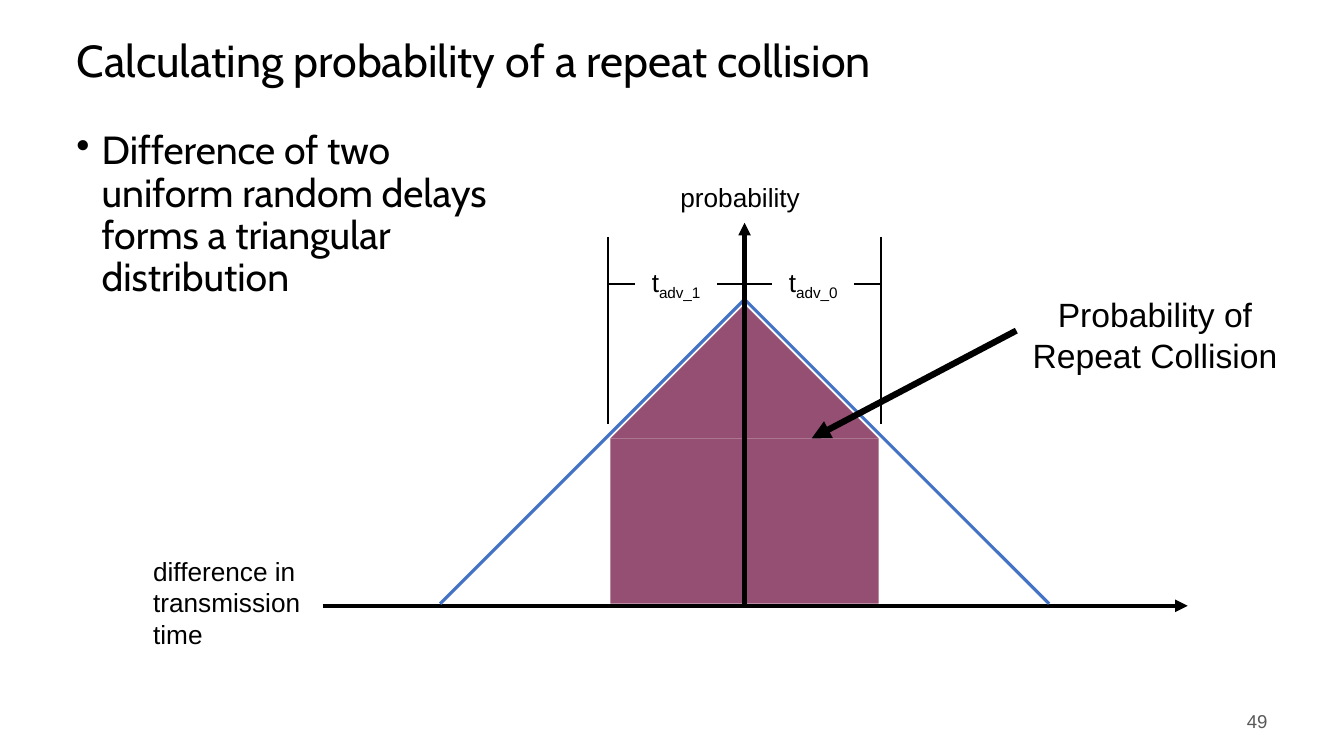
from pptx import Presentation
from pptx.dml.color import RGBColor as RGB
from pptx.enum.shapes import MSO_CONNECTOR as Link, MSO_SHAPE as Shape
from pptx.enum.text import MSO_ANCHOR as Anchor, PP_ALIGN as Align
from pptx.oxml.ns import qn
from pptx.util import Inches, Pt
from lxml.etree import SubElement as Sub

BLACK = RGB(0, 0, 0)
GRAY = RGB(0x59, 0x59, 0x59)
BLUE = RGB(0x44, 0x72, 0xC4)
PLUM = RGB(0x95, 0x4F, 0x72)
MID = 7.385
BASE = 6.01
HALF = 1.33


def style(para, size, face="Arial", color=BLACK, align=Align.LEFT):
    para.alignment = align
    font = para.font
    font.size, font.name, font.color.rgb = Pt(size), face, color


def place(shape, box):
    shape.left, shape.top, shape.width, shape.height = map(Inches, box)


def label(slide, box, text, size, sub="", **look):
    shape = slide.shapes.add_textbox(*map(Inches, box))
    frame = shape.text_frame
    frame.word_wrap = True
    para = frame.paragraphs[0]
    para.add_run().text = text
    if sub:
        run = para.add_run()
        run.text = sub
        run._r.get_or_add_rPr().set("baseline", "-25000")
    style(para, size, **look)
    return frame


def line(slide, start, end, width, color=BLACK, arrow=False):
    link = slide.shapes.add_connector(
        Link.STRAIGHT, *map(Inches, (*start, *end)))
    link.line.width = Pt(width)
    link.line.color.rgb = color
    if arrow:
        Sub(link.line._get_or_add_ln(), qn("a:tailEnd"), type="triangle")
    Sub(link._element.spPr, qn("a:effectLst"))


def title(slide, text):
    shape = slide.shapes.title
    place(shape, (0.66, 0.25, 12, 0.75))
    frame = shape.text_frame
    frame.text = text
    frame.vertical_anchor = Anchor.MIDDLE
    para = frame.paragraphs[0]
    para.line_spacing = 0.9
    style(para, 32, "Cabin")


def bullet(slide, text):
    frame = label(slide, (0.66, 1.25, 4.65, 5.5), text, 28, face="Cabin")
    para = frame.paragraphs[0]
    para.line_spacing = 0.9
    props = para._p.get_or_add_pPr()
    props.set("marL", str(Inches(0.25)))
    props.set("indent", str(Inches(-0.25)))
    mark = props.makeelement(qn("a:buChar"), {"char": "•"})
    props.insert_element_before(mark, "a:tabLst", "a:defRPr", "a:extLst")


def area(slide, side):
    left = MID if side > 0 else MID - HALF
    group = slide.shapes.add_group_shape()
    for kind, top, height in ((Shape.RIGHT_TRIANGLE, 3.02, HALF),
                              (Shape.RECTANGLE, 4.35, 1.64)):
        part = group.shapes.add_shape(
            kind, *map(Inches, (left, top, HALF, height)))
        part.shadow.inherit = False
        part.fill.solid()
        part.fill.fore_color.rgb = PLUM
        part.line.fill.background()
        if side < 0:
            part._element.spPr.xfrm.set("flipH", "1")


def span(slide, side, sub):
    edge = MID + side * 1.355
    line(slide, (MID, 2.35), (MID, 3.28), 1.5)
    line(slide, (edge, 2.35), (edge, 4.21), 1.5)
    for end, way in ((MID, side), (edge, -side)):
        line(slide, (end, 2.82), (end + way * 0.27, 2.82), 1.5)
    box = (MID + side * 0.68 - 0.41, 2.59, 0.82, 0.42)
    label(slide, box, "t", 18.7, sub, align=Align.CENTER)


def main():
    deck = Presentation()
    deck.slide_width, deck.slide_height = Inches(13.33), Inches(7.5)
    slide = deck.slides.add_slide(deck.slide_layouts[5])
    title(slide, "Calculating probability of a repeat collision")
    bullet(slide, "Difference of two uniform random delays "
                  "forms a triangular distribution")
    page = label(slide, (11.67, 6.95, 1, 0.4), "49", 13.3,
                 color=GRAY, align=Align.RIGHT)
    page.vertical_anchor = Anchor.MIDDLE
    line(slide, (3.2, BASE), (11.78, BASE), 3, arrow=True)
    label(slide, (1.42, 5.46, 2.09, 1.04),
          "difference in transmission time", 18.7)
    label(slide, (6.65, 1.75, 1.46, 0.42), "probability", 18.7)
    sides = ((-1, "adv_1"), (1, "adv_0"))
    for side, _ in sides:
        line(slide, (MID + side * 3.02, 5.99), (MID, 2.97), 2.25, BLUE)
    for side, _ in sides:
        area(slide, side)
    line(slide, (MID, BASE), (MID, 2.21), 3, arrow=True)
    for side, sub in sides:
        span(slide, side, sub)
    line(slide, (10.08, 3.28), (8.05, 4.35), 4.5, arrow=True)
    label(slide, (10.08, 2.87, 2.75, 0.91),
          "Probability of Repeat Collision", 24, align=Align.CENTER)
    deck.save("out.pptx")


if __name__ == "__main__":
    main()
